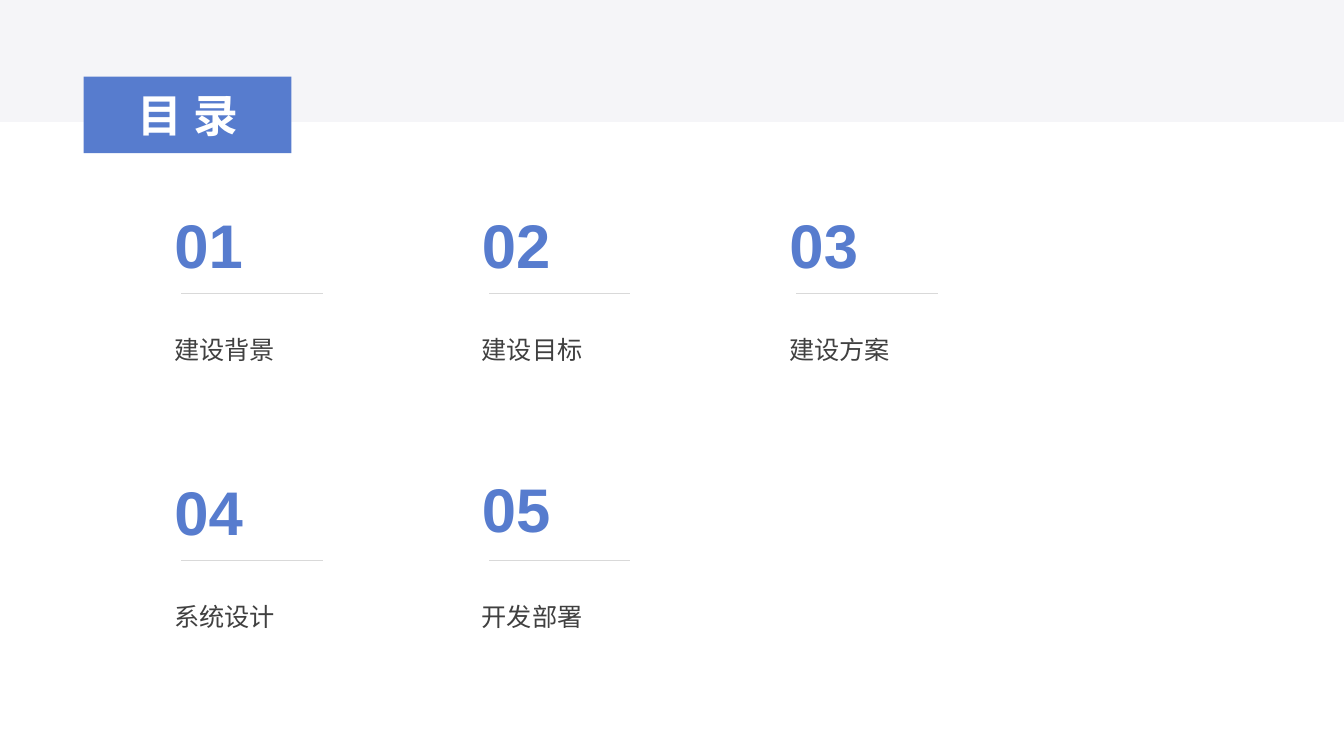
from pptx import Presentation
from pptx.dml.color import RGBColor
from pptx.enum import shapes, text
from pptx.oxml.ns import qn
from pptx.util import Inches, Pt

# Content: number, label, column, row, shift of the number in inches
TITLE = "目录"
ITEMS = [
    ("01", "建设背景", 0, 0, 0),
    ("02", "建设目标", 1, 0, 0),
    ("03", "建设方案", 2, 0, 0),
    ("04", "系统设计", 0, 1, 0),
    ("05", "开发部署", 1, 1, -0.03),
]

BLUE = RGBColor(0x57, 0x7C, 0xCE)
PALE = RGBColor(0xF5, 0xF5, 0xF8)
GRAY = RGBColor(0xD9, 0xD9, 0xD9)
DARK = RGBColor(0x40, 0x40, 0x40)
WHITE = RGBColor(0xFF, 0xFF, 0xFF)

# Formats
HEAD = {"size": Pt(32), "bold": True, "name": "Arial"}
NUM = {"size": Pt(44), "bold": True, "name": "Arial"}
LABEL = {"size": Pt(18), "bold": False, "name": "Arial"}
BODY = {"alignment": text.PP_ALIGN.JUSTIFY, "line_spacing": 1.5,
        "space_after": Pt(20)}

# Grid in inches
LEFT, TOP = 1.64, 1.95
STEP_X, STEP_Y = 3.05, 2.65


def style(item, values):
    for key, value in values.items():
        setattr(item, key, value)


def write(frame, words, font, color, para=None):
    frame.word_wrap = True
    line = frame.paragraphs[0]
    style(line, para or {})
    run = line.add_run()
    run.text = words
    style(run.font, font)
    run.font.color.rgb = color
    return run


def add_text(group, box, words, font, color, para=None):
    shape = group.shapes.add_textbox(*map(Inches, box))
    write(shape.text_frame, words, font, color, para)
    return shape


def add_rule(group, x, y, width):
    rule = group.shapes.add_connector(
        shapes.MSO_CONNECTOR.STRAIGHT,
        Inches(x), Inches(y), Inches(x + width), Inches(y))
    rule.line.color.rgb = GRAY
    rule.line.width = Pt(0.5)
    props = rule.element.spPr
    props.append(props.makeelement(qn("a:effectLst"), {}))


def add_item(slide, num, label, col, row, shift):
    x, y = LEFT + col * STEP_X, TOP + row * STEP_Y
    group = slide.shapes.add_group_shape()
    add_text(group, (x - 0.01, y + 1.17, 4.18, 0.8), label, LABEL, DARK, BODY)
    box = add_text(group, (x, y + shift, 1.05, 0.99), num, NUM, BLUE)
    style(box.text_frame, {"margin_left": Inches(0.09),
                           "margin_top": Inches(0.1)})
    add_rule(group, x + 0.16, y + 0.96, 1.4)


def main():
    deck = Presentation()
    deck.slide_width, deck.slide_height = Inches(13.33), Inches(7.5)
    slide = deck.slides.add_slide(deck.slide_layouts[5])

    # Top band, behind the title
    band = slide.shapes.add_shape(shapes.MSO_SHAPE.RECTANGLE, 0, 0,
                                  deck.slide_width, Inches(1.21))
    band.shadow.inherit = False
    band.fill.solid()
    band.fill.fore_color.rgb = PALE
    band.line.fill.background()

    # Title block
    title = slide.shapes.title
    title.element.addprevious(band.element)
    style(title, {"left": Inches(0.83), "top": Inches(0.76),
                  "width": Inches(2.06), "height": Inches(0.76)})
    title.fill.solid()
    title.fill.fore_color.rgb = BLUE
    style(title.text_frame, {"auto_size": text.MSO_AUTO_SIZE.NONE,
                             "vertical_anchor": text.MSO_ANCHOR.MIDDLE})
    run = write(title.text_frame, TITLE, HEAD, WHITE,
                {"alignment": text.PP_ALIGN.CENTER})
    run.font._element.set("spc", "800")

    # Agenda entries
    for item in ITEMS:
        add_item(slide, *item)

    deck.save("out.pptx")


if __name__ == "__main__":
    main()
